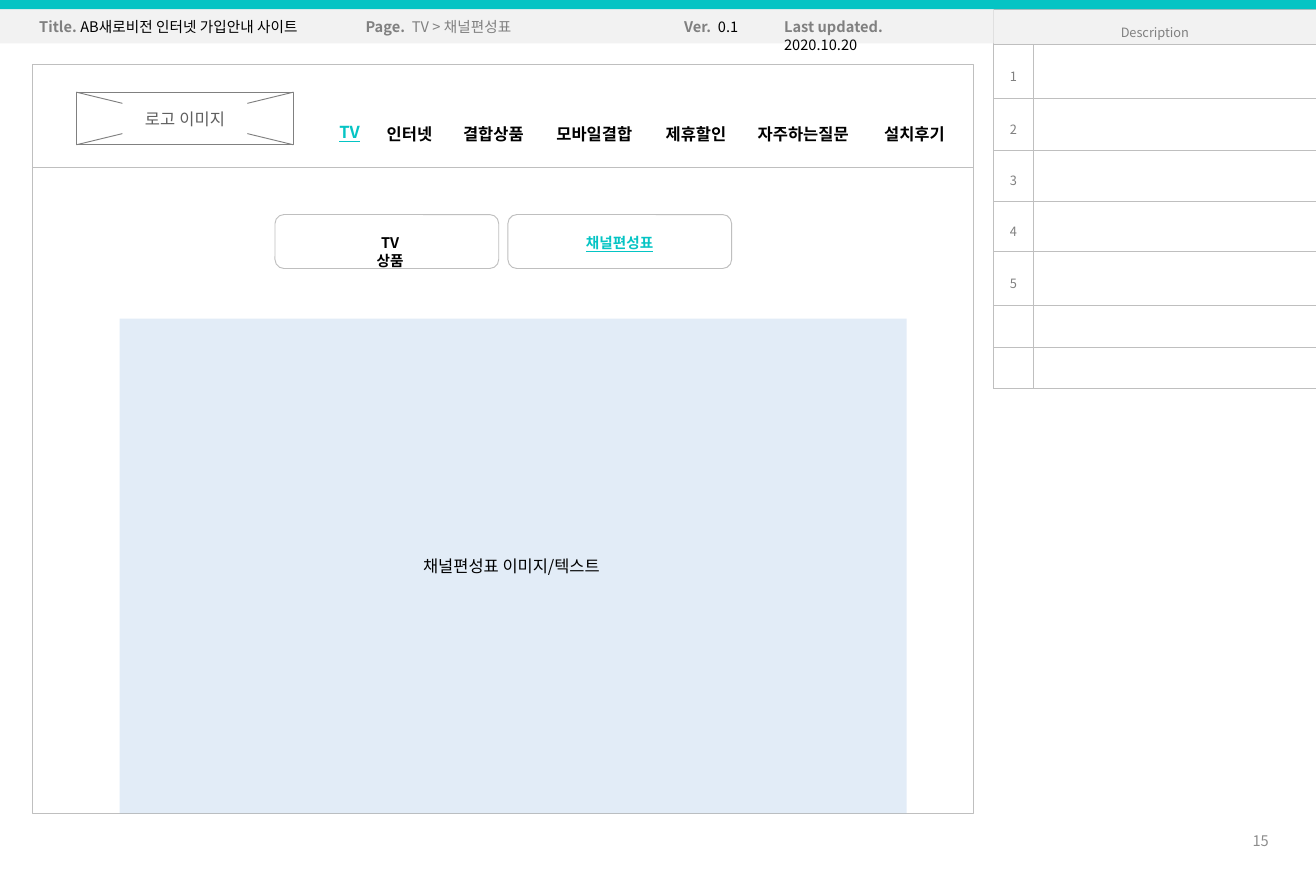
from typing import NamedTuple

from lxml.etree import SubElement
from pptx import Presentation
from pptx.dml.color import RGBColor
from pptx.enum.shapes import MSO_CONNECTOR, MSO_SHAPE
from pptx.enum.text import MSO_ANCHOR, MSO_AUTO_SIZE, PP_ALIGN
from pptx.oxml.ns import qn
from pptx.util import Inches, Pt

NOTO = "Noto Sans CJK KR"
TEAL, GRAY, EDGE, PALE = "05C4C4", "808080", "BFBFBF", "F2F2F2"
WHITE, BLACK = "FFFFFF", "000000"


class Box(NamedTuple):
    left: float
    top: float
    width: float
    height: float

    def place(self) -> list:
        return [Inches(v) for v in self]


class Meta(NamedTuple):
    box: Box
    label: str
    value: str
    color: str = BLACK
    wrap: bool = False


class Menu(NamedTuple):
    left: float
    width: float
    text: str


class Tab(NamedTuple):
    left: float
    box: Box
    text: str
    live: bool = False


METAS = [
    Meta(Box(0.2, 0.09, 2.33, 0.24), "Title. ", "AB새로비전 인터넷 가입안내 사이트"),
    Meta(Box(5.1, 0.09, 0.64, 0.24), "Ver.  ", "0.1"),
    Meta(Box(5.86, 0.09, 1.45, 0.24), "Last updated.  ", "2020.10.20", wrap=True),
    Meta(Box(2.68, 0.09, 1.43, 0.24), "Page.  ", "TV > 채널편성표", GRAY),
]
MENUS = [
    Menu(2.48, 0.36, "TV"),
    Menu(2.84, 0.58, "인터넷"),
    Menu(3.42, 0.71, "결합상품"),
    Menu(4.13, 0.83, "모바일결합"),
    Menu(4.96, 0.71, "제휴할인"),
    Menu(5.66, 0.96, "자주하는질문"),
    Menu(6.62, 0.71, "설치후기"),
]
TABS = [
    Tab(3.86, Box(4.33, 1.73, 0.76, 0.24), "채널편성표", True),
    Tab(2.09, Box(2.71, 1.73, 0.51, 0.24), "TV상품"),
]
ROWS = [0.27, 0.41, 0.39, 0.39, 0.38, 0.41, 0.32, 0.31]


def paint(target, color: str) -> None:
    target.solid()
    target.fore_color.rgb = RGBColor.from_string(color)


def write(para, text: str, *, size=8, color=BLACK, bold=False, under=False,
          font=NOTO, align=None, space=None) -> None:
    run = para.add_run()
    run.text = text
    face = run.font
    face.size, face.bold, face.underline = Pt(size), bold, under
    face.name = font
    paint(face.fill, color)
    SubElement(face._element, qn("a:ea"), typeface=font)
    if align is not None:
        para.alignment = align
    if space:
        para.line_spacing = space


def label(slide, box: Box, wrap: bool = False):
    frame = slide.shapes.add_textbox(*box.place()).text_frame
    frame.word_wrap = wrap
    frame.auto_size = MSO_AUTO_SIZE.SHAPE_TO_FIT_TEXT
    return frame.paragraphs[0]


def block(slide, box: Box, fill: str, line: str = "", kind=MSO_SHAPE.RECTANGLE):
    shape = slide.shapes.add_shape(kind, *box.place())
    shape.shadow.inherit = False
    paint(shape.fill, fill)
    if line:
        paint(shape.line.fill, line)
        shape.line.width = Pt(0.5)
    else:
        shape.line.fill.background()
    return shape


def stroke(slide, x1: float, y1: float, x2: float, y2: float) -> None:
    line = slide.shapes.add_connector(
        MSO_CONNECTOR.STRAIGHT, Inches(x1), Inches(y1), Inches(x2), Inches(y2))
    paint(line.line.fill, GRAY)
    line.line.width = Pt(0.5)
    SubElement(line._element.spPr, qn("a:effectLst"))


def border(cell) -> None:
    props = cell._tc.get_or_add_tcPr()
    for at, side in enumerate(("lnL", "lnR", "lnT", "lnB")):
        edge = props.makeelement(qn(f"a:{side}"), {"w": str(Pt(0.5))})
        fill = SubElement(edge, qn("a:solidFill"))
        SubElement(fill, qn("a:srgbClr"), val=EDGE)
        props.insert(at, edge)


def notes(slide) -> None:
    box = Box(7.55, 0.07, 2.45, sum(ROWS))
    table = slide.shapes.add_table(len(ROWS), 2, *box.place()).table
    for col, width in zip(table.columns, (0.3, 2.15)):
        col.width = Inches(width)
    for row, height in zip(table.rows, ROWS):
        row.height = Inches(height)
    table.cell(0, 0).merge(table.cell(0, 1))
    texts = ["Description", "1", "2", "3", "4", "5", "", ""]
    for r, text in enumerate(texts):
        for c in range(2):
            cell = table.cell(r, c)
            cell.margin_left = cell.margin_right = 0
            cell.margin_top = cell.margin_bottom = 0
            cell.vertical_anchor = MSO_ANCHOR.MIDDLE
            paint(cell.fill, WHITE if r else PALE)
            border(cell)
            para = cell.text_frame.paragraphs[0]
            if text and c == 0:
                write(para, text, size=7, color=GRAY,
                      align=PP_ALIGN.CENTER, space=1.5)
            else:
                SubElement(para._p, qn("a:endParaRPr"), sz="700")


def header(slide) -> None:
    block(slide, Box(0, 0.02, 7.55, 0.31), PALE)
    block(slide, Box(0, 0, 10, 0.07), TEAL)
    for meta in METAS:
        para = label(slide, meta.box, meta.wrap)
        write(para, meta.label, color=GRAY, bold=True)
        write(para, meta.value, color=meta.color)


def tabs(slide) -> None:
    for tab in TABS:
        block(slide, Box(tab.left, 1.63, 1.7, 0.41), WHITE, EDGE,
              MSO_SHAPE.ROUNDED_RECTANGLE)
        write(label(slide, tab.box, not tab.live), tab.text, bold=True,
              color=TEAL if tab.live else BLACK, under=tab.live,
              align=PP_ALIGN.CENTER)


def banner(slide) -> None:
    block(slide, Box(0.25, 0.49, 7.15, 0.78), WHITE, EDGE)
    block(slide, Box(0.58, 0.7, 1.65, 0.4), WHITE, GRAY)
    stroke(slide, 0.58, 1.1, 2.23, 0.7)
    stroke(slide, 2.23, 1.1, 0.58, 0.7)
    frame = block(slide, Box(0.93, 0.77, 0.95, 0.27), WHITE).text_frame
    frame.word_wrap = False
    frame.vertical_anchor = MSO_ANCHOR.MIDDLE
    frame.margin_left = frame.margin_right = Inches(0.08)
    frame.margin_top = frame.margin_bottom = Inches(0.04)
    write(frame.paragraphs[0], "로고 이미지", size=9, color="5F5F5F",
          font="Lato", align=PP_ALIGN.CENTER)
    for menu in MENUS:
        live = menu.text == "TV"
        para = label(slide, Box(menu.left, 0.88 if live else 0.89, menu.width, 0.25))
        write(para, menu.text, size=9, bold=True, under=live,
              color=TEAL if live else BLACK)


def main() -> None:
    deck = Presentation()
    deck.slide_width, deck.slide_height = Inches(10), Inches(17 / 2.54)
    slide = deck.slides.add_slide(deck.slide_layouts[6])
    block(slide, Box(0.25, 0.67, 7.15, 5.51), WHITE, EDGE)
    page = slide.shapes.add_textbox(*Box(9.33, 6.2, 0.41, 0.37).place()).text_frame
    page.word_wrap = True
    page.vertical_anchor = MSO_ANCHOR.MIDDLE
    write(page.paragraphs[0], "15", color="8C8C8C", align=PP_ALIGN.RIGHT)
    notes(slide)
    header(slide)
    tabs(slide)
    panel = block(slide, Box(0.91, 2.42, 5.98, 3.76), "8EB4E3")
    tint = panel._element.spPr.find(f"{qn('a:solidFill')}/{qn('a:srgbClr')}")
    SubElement(tint, qn("a:alpha"), val="25000")
    panel.text_frame.vertical_anchor = MSO_ANCHOR.MIDDLE
    write(panel.text_frame.paragraphs[0], "채널편성표 이미지/텍스트 ", size=9,
          align=PP_ALIGN.CENTER)
    banner(slide)
    deck.save("out.pptx")


if __name__ == "__main__":
    main()
